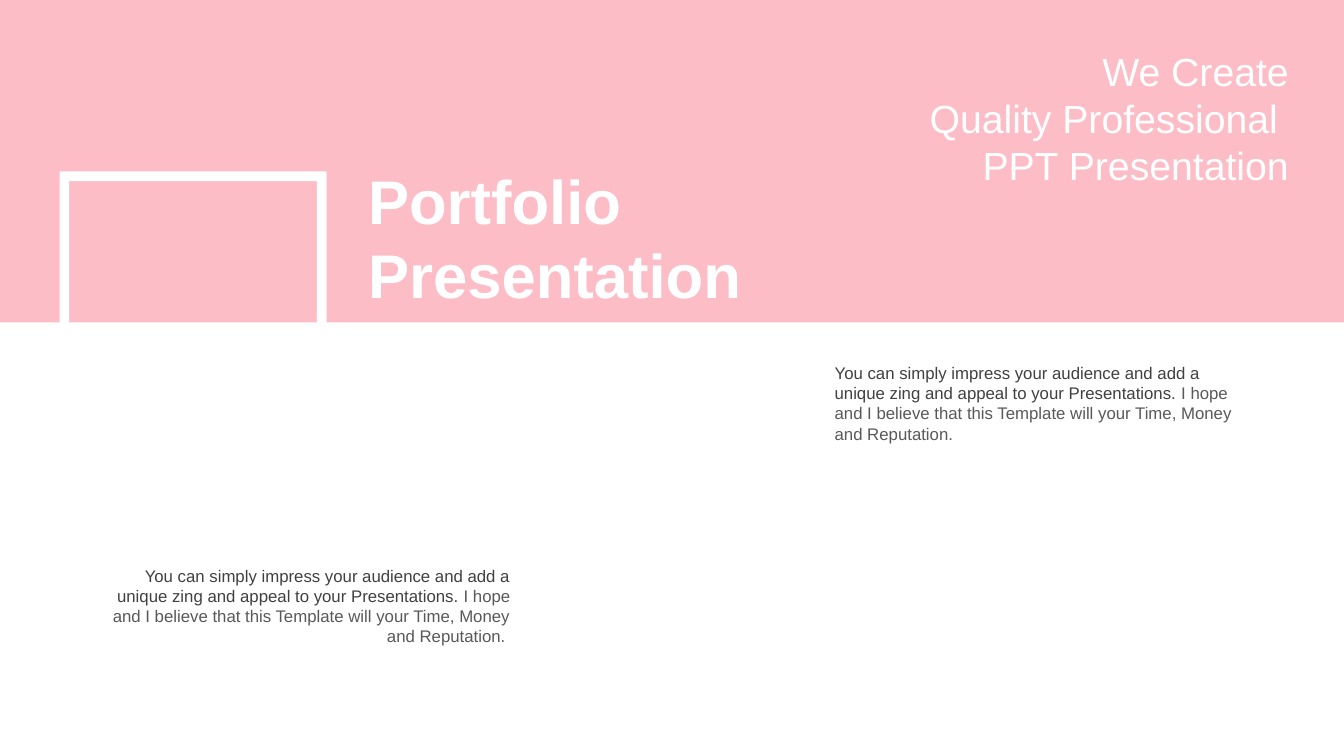
from dataclasses import dataclass

from pptx import Presentation
from pptx.dml.color import RGBColor as RGB
from pptx.enum.shapes import MSO_SHAPE as Shape
from pptx.enum.text import MSO_ANCHOR as Anchor
from pptx.enum.text import MSO_AUTO_SIZE as Auto
from pptx.enum.text import PP_ALIGN as Align
from pptx.util import Inches, Pt


@dataclass(frozen=True)
class Theme:
    """Colours, type sizes and font of the slide."""
    pink: RGB = RGB(0xFD, 0xBD, 0xC7)
    white: RGB = RGB(0xFF, 0xFF, 0xFF)
    dark: RGB = RGB(0x40, 0x40, 0x40)
    grey: RGB = RGB(0x59, 0x59, 0x59)
    title: Pt = Pt(44)
    motto: Pt = Pt(28)
    body: Pt = Pt(12)
    font: str = "Arial"


THEME = Theme()
LEAD = ("You can simply impress your audience and add a unique zing "
        "and appeal to your Presentations. ")
REST = ("I hope and I believe that this Template will your Time, "
        "Money and Reputation.")
MOTTO = ("We Create", "Quality Professional ", "PPT Presentation")


def assign(target, values):
    """Set attributes of target from a dict."""
    for name, value in values.items():
        setattr(target, name, value)


def place(shape, box):
    """Move and size a shape to a box in inches."""
    names = ("left", "top", "width", "height")
    assign(shape, dict(zip(names, map(Inches, box))))


def add_block(slide, kind, box, color):
    """Add a plain filled shape without line or shadow."""
    shape = slide.shapes.add_shape(kind, *map(Inches, box))
    shape.shadow.inherit = False
    shape.fill.solid()
    shape.fill.fore_color.rgb = color
    shape.line.fill.background()
    return shape


def write(shape, paras, size, align=Align.LEFT, bold=False):
    """Fill a shape with paragraphs of (text, colour) runs."""
    frame = shape.text_frame
    assign(frame, {"word_wrap": True, "auto_size": Auto.SHAPE_TO_FIT_TEXT,
                   "vertical_anchor": Anchor.TOP})
    for index, runs in enumerate(paras):
        para = frame.add_paragraph() if index else frame.paragraphs[0]
        para.alignment = align
        for text, color in runs:
            run = para.add_run()
            run.text = text
            assign(run.font, {"name": THEME.font, "size": size, "bold": bold})
            run.font.color.rgb = color


def add_text(slide, box, paras, size, align=Align.LEFT):
    """Add a text box with the given paragraphs."""
    shape = slide.shapes.add_textbox(*map(Inches, box))
    write(shape, paras, size, align)


def add_title(slide, box, text):
    """Format the title placeholder and bring it to the front."""
    title = slide.shapes.title
    place(title, box)
    write(title, [[(text, THEME.white)]], THEME.title, bold=True)
    title.element.getparent().append(title.element)


def main():
    """Build the slide and save it."""
    deck = Presentation()
    assign(deck, {"slide_width": Inches(13.33), "slide_height": Inches(7.5)})
    slide = deck.slides.add_slide(deck.slide_layouts[5])

    add_block(slide, Shape.RECTANGLE, (0, 0, 13.33, 3.2), THEME.pink)
    frame = add_block(slide, Shape.FRAME, (0.59, 1.7, 2.65, 2.29), THEME.white)
    frame.adjustments[0] = 0.042
    add_title(slide, (3.55, 1.57, 3.99, 1.58), "Portfolio Presentation")

    notes = (((8.18, 3.55), Align.LEFT, REST),
             ((0.93, 5.56), Align.RIGHT, REST + " "))
    for spot, align, rest in notes:
        runs = [(LEAD, THEME.dark), (rest, THEME.grey)]
        add_text(slide, (*spot, 4.23, 0.91), [runs], THEME.body, align)

    lines = [[(line, THEME.white)] for line in MOTTO]
    add_text(slide, (8.98, 0.42, 3.9, 1.51), lines, THEME.motto, Align.RIGHT)
    deck.save("out.pptx")


if __name__ == "__main__":
    main()
